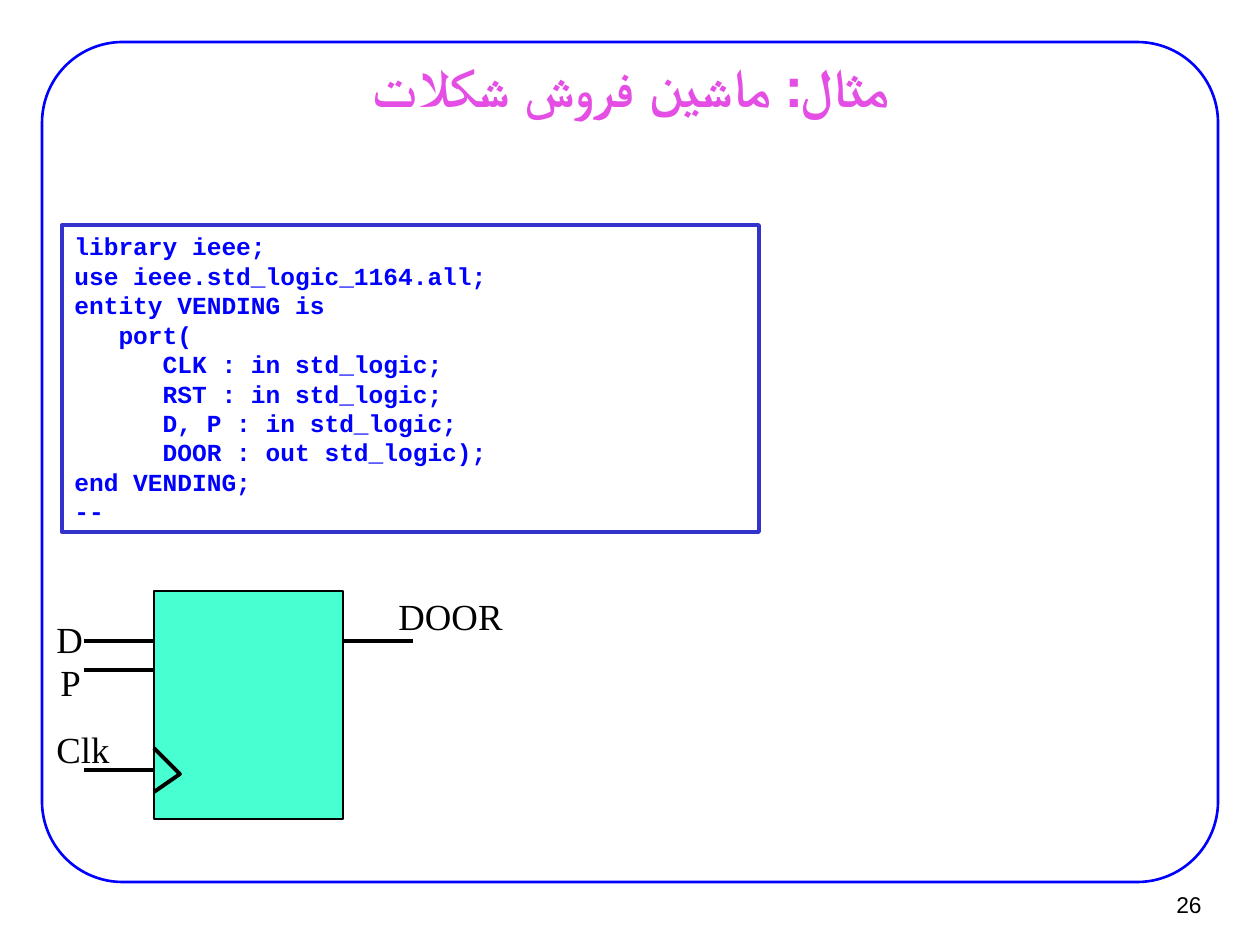
from lxml.etree import SubElement
from pptx import Presentation
from pptx.dml.color import RGBColor
from pptx.enum.shapes import MSO_CONNECTOR, MSO_SHAPE as SHAPE
from pptx.enum.text import MSO_ANCHOR as ANCHOR, PP_ALIGN as ALIGN
from pptx.oxml.ns import qn
from pptx.util import Emu, Pt

BLACK = RGBColor(0x00, 0x00, 0x00)
BLUE = RGBColor(0x00, 0x00, 0xFF)
INDIGO = RGBColor(0x33, 0x33, 0xCC)
MINT = RGBColor(0x47, 0xFF, 0xD1)
PINK = RGBColor(0xE4, 0x4E, 0xE4)

CODE = """library ieee;
use ieee.std_logic_1164.all;
entity VENDING is
   port(
      CLK : in std_logic;
      RST : in std_logic;
      D, P : in std_logic;
      DOOR : out std_logic);
end VENDING;
--"""


def px(length):
    return Emu(round(length * 914400 / 126))


class SlideBuilder:
    """Draws styled elements on the current slide, with lengths in px."""

    def __init__(self, slide):
        self.shapes = slide.shapes

    def style(self, shape, line, width, fill=None):
        shape.shadow.inherit = False
        if fill is None:
            shape.fill.background()
        else:
            shape.fill.solid()
            shape.fill.fore_color.rgb = fill
        shape.line.color.rgb = line
        shape.line.width = Pt(width)
        return shape

    def box(self, kind, bounds, line, width, fill=None):
        shape = self.shapes.add_shape(kind, *map(px, bounds))
        return self.style(shape, line, width, fill)

    def set_text(self, shape, text, size, font, color, bold=False,
                 align=ALIGN.LEFT, anchor=ANCHOR.MIDDLE, wrap=True, rtl=False):
        frame = shape.text_frame
        frame.text = text
        frame.word_wrap = wrap
        frame.vertical_anchor = anchor
        for paragraph in frame.paragraphs:
            paragraph.alignment = align
            if rtl:
                paragraph._p.get_or_add_pPr().set("rtl", "1")
            paragraph.font.size = Pt(size)
            paragraph.font.name = font
            paragraph.font.bold = bold
            paragraph.font.color.rgb = color

    def text(self, bounds, text, size, font, color, **options):
        textbox = self.shapes.add_textbox(*map(px, bounds))
        self.set_text(textbox, text, size, font, color, **options)

    def label(self, bounds, text):
        self.text(bounds, text, 21, "Times New Roman", BLACK, anchor=ANCHOR.TOP)

    def wire(self, start, end, y):
        connector = self.shapes.add_connector(
            MSO_CONNECTOR.STRAIGHT, px(start), px(y), px(end), px(y))
        connector.line.color.rgb = BLACK
        connector.line.width = Pt(2.25)
        SubElement(connector._element.spPr, qn("a:effectLst"))

    def outline(self, points, line, width):
        first, *rest = [(px(x), px(y)) for x, y in points]
        builder = self.shapes.build_freeform(*first)
        builder.add_line_segments(rest, close=False)
        self.style(builder.convert_to_shape(), line, width)


def main():
    presentation = Presentation()
    presentation.slide_width, presentation.slide_height = px(1260), px(945)
    slide = SlideBuilder(
        presentation.slides.add_slide(presentation.slide_layouts[6]))

    frame = slide.box(SHAPE.ROUNDED_RECTANGLE, (42, 42, 1176, 840), BLUE, 1.5)
    frame.adjustments[0] = 0.096
    slide.text((96, 55, 1071, 62), "مثال: ماشین فروش شکلات", 31, "Arial", PINK,
               bold=True, align=ALIGN.CENTER, rtl=True)
    slide.text((1137, 881, 77, 47), "26", 13, "Arial", BLACK,
               align=ALIGN.RIGHT, wrap=False)

    listing = slide.box(SHAPE.RECTANGLE, (62, 225, 697, 307), INDIGO, 2.25)
    slide.set_text(listing, CODE, 14, "Courier New", BLUE, bold=True)

    left, width, wire_length = 154, 189, 70
    right = left + width
    slide.box(SHAPE.RECTANGLE, (left, 591, width, 228), BLACK, 1.5, MINT)
    for y in (641, 670, 770):
        slide.wire(left, left - wire_length, y)
    slide.wire(right + wire_length, right, 641)
    slide.outline([(left, 748), (180, 774), (left, 792)], BLACK, 2.25)

    slide.label((44, 611, 39, 57), "D")
    slide.label((48, 654, 40, 57), "P")
    slide.label((44, 721, 82, 57), "Clk")
    slide.label((386, 588, 146, 57), "DOOR")

    presentation.save("out.pptx")


if __name__ == "__main__":
    main()
